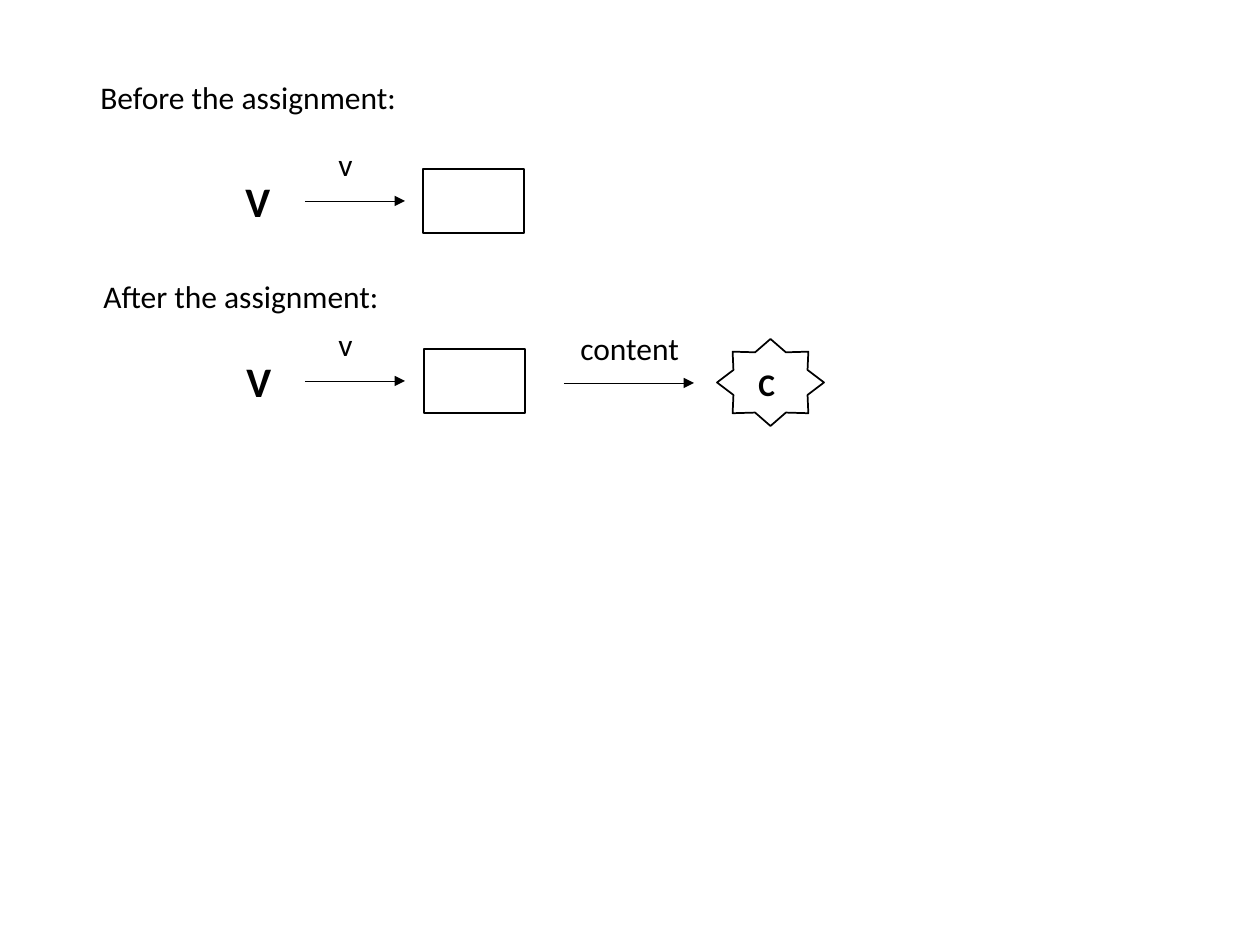
import pptx
import pptx.util
import pptx.dml.color
import pptx.enum.shapes
import pptx.oxml.ns
import lxml.etree

PX = 914400 // 126
INK = "000000"
KIND = pptx.enum.shapes.MSO_SHAPE

deck = pptx.Presentation()
deck.slide_width = pptx.util.Inches(10)
deck.slide_height = pptx.util.Inches(7.5)
slide = deck.slides.add_slide(deck.slide_layouts[6])
shapes = slide.shapes


def tint(text):
    return pptx.dml.color.RGBColor.from_string(text)


# Outlined shapes: the two variable cells and the content star
for kind, *area in [
    (KIND.RECTANGLE, 423, 169, 101, 64),
    (KIND.RECTANGLE, 424, 349, 101, 64),
    (KIND.STAR_8_POINT, 717, 339, 107, 87),
]:
    shape = shapes.add_shape(kind, *[n * PX for n in area])
    shape.shadow.inherit = False
    shape.fill.background()
    shape.line.color.rgb = tint(INK)
    shape.line.width = pptx.util.Pt(1)

# Arrows
for left, right, y in [(305, 405, 201), (305, 405, 381), (564, 694, 383)]:
    arrow = shapes.add_connector(
        pptx.enum.shapes.MSO_CONNECTOR.STRAIGHT,
        left * PX, y * PX, right * PX, y * PX)
    arrow.line.color.rgb = tint(INK)
    arrow.line.width = pptx.util.Pt(0.5)
    line = arrow.line._get_or_add_ln()
    lxml.etree.SubElement(line, pptx.oxml.ns.qn("a:tailEnd"), type="triangle")
    lxml.etree.SubElement(arrow._element.spPr, pptx.oxml.ns.qn("a:effectLst"))

# Captions and labels
for text, left, top, width, height, size, bold in [
    ("Before the assignment:", 88, 72, 404, 50, 18, False),
    ("V", 233, 169, 142, 63, 24, True),
    ("v", 326, 139, 29, 50, 18, False),
    ("After the assignment:", 91, 271, 404, 50, 18, False),
    ("V", 234, 349, 142, 63, 24, True),
    ("v", 326, 319, 29, 50, 18, False),
    ("content", 568, 323, 228, 50, 18, False),
    ("C", 746, 359, 48, 50, 18, True),
]:
    box = shapes.add_textbox(left * PX, top * PX, width * PX, height * PX)
    frame = box.text_frame
    frame.word_wrap = True
    frame.text = text
    font = frame.paragraphs[0].runs[0].font
    font.name = "Calibri"
    font.size = pptx.util.Pt(size)
    font.bold = bold
    font.color.rgb = tint(INK)

deck.save("out.pptx")
